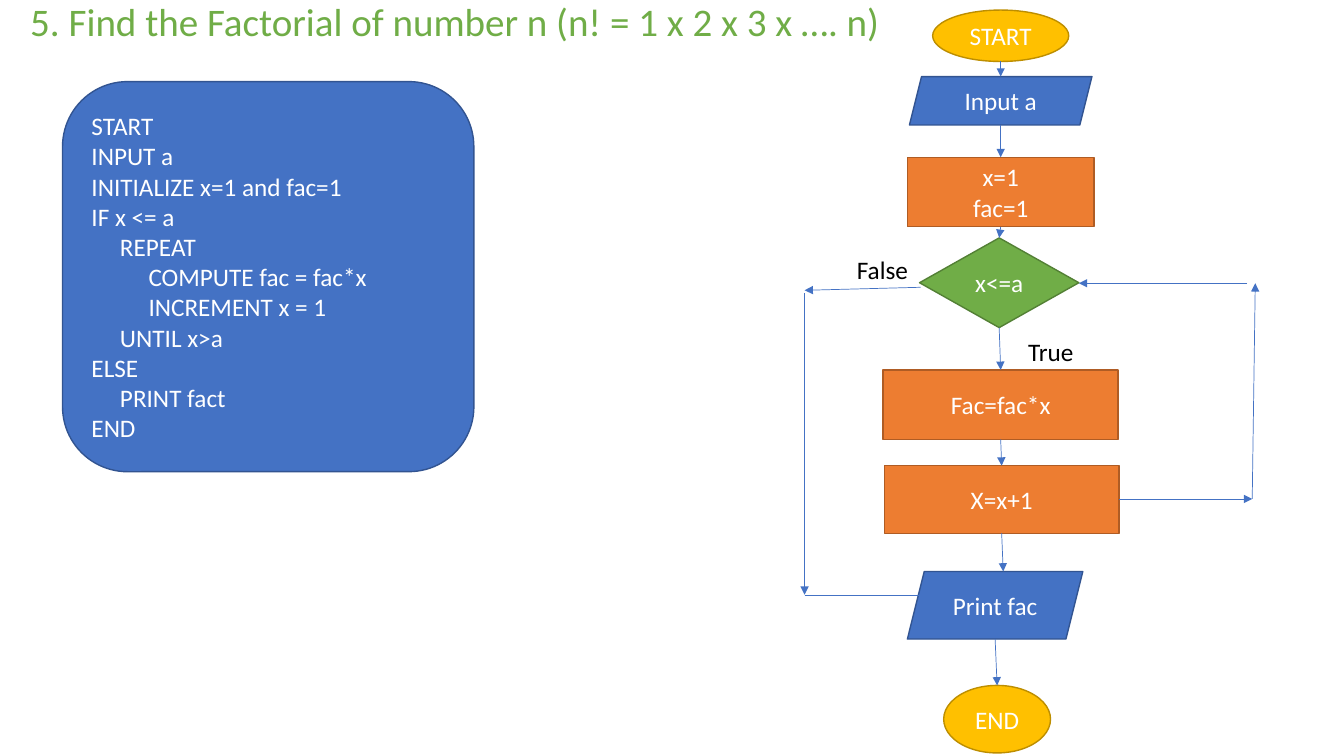
from itertools import pairwise
from lxml import etree
from pptx import Presentation
from pptx.dml.color import RGBColor
from pptx.enum.shapes import MSO_CONNECTOR, MSO_SHAPE
from pptx.enum.text import MSO_ANCHOR, MSO_AUTO_SIZE, PP_ALIGN
from pptx.oxml.ns import qn
from pptx.util import Inches, Pt

LEFT, CENTER = PP_ALIGN.LEFT, PP_ALIGN.CENTER
MIDDLE, TOP = MSO_ANCHOR.MIDDLE, MSO_ANCHOR.TOP
NO_FIT = MSO_AUTO_SIZE.NONE
STRAIGHT = MSO_CONNECTOR.STRAIGHT
OVAL, SLANTED, DIAMOND = MSO_SHAPE.OVAL, MSO_SHAPE.PARALLELOGRAM, MSO_SHAPE.DIAMOND
BOX, PROCESS = MSO_SHAPE.RECTANGLE, MSO_SHAPE.FLOWCHART_PROCESS
ROUNDED = MSO_SHAPE.ROUNDED_RECTANGLE

BLUE, GOLD, ORANGE, GREEN = "4472C4", "FFC000", "ED7D31", "70AD47"
EDGE = {BLUE: "325491", GOLD: "BD8E00", ORANGE: "AF5C24", GREEN: "538035"}
WHITE, BLACK = "FFFFFF", "000000"

prs = Presentation()
prs.slide_width, prs.slide_height = Inches(13.33), Inches(7.5)
U = prs.slide_height / 75  # one column or row of the slide grid
INDENT = 2.83 * U


def paint(color_format, color):
    """Set a fill, line or font colour from a hex string."""
    color_format.rgb = RGBColor.from_string(color)


def write(sp, lines, color, align=LEFT, anchor=MIDDLE, size=18):
    """Write (indent level, text) lines into a shape, one paragraph each."""
    tf = sp.text_frame
    tf.word_wrap, tf.auto_size, tf.vertical_anchor = True, NO_FIT, anchor
    for i, (level, text) in enumerate(lines):
        p = tf.add_paragraph() if i else tf.paragraphs[0]
        p.alignment = align
        if level:
            p._p.get_or_add_pPr().set("marL", str(round(level * INDENT)))
        r = p.add_run()
        r.text = text
        r.font.size, r.font.name = Pt(size), "Calibri"
        paint(r.font.color, color)


s = prs.slides.add_slide(prs.slide_layouts[5])

# Title
title = s.shapes.title
title.left, title.top, title.width, title.height = (round(v * U) for v in (2, 0, 125, 4.8))
write(title, [(0, "5. Find the Factorial of number n (n! = 1 x 2 x 3 x …. n)")], GREEN, size=27.9)
title.text_frame.paragraphs[0].line_spacing = 0.9

# Pseudocode panel and flowchart steps: preset, fill, left, top, width, height, lines
pseudocode = [
    (0, "START"), (0, "INPUT a"), (0, "INITIALIZE x=1 and fac=1"), (0, "IF x <= a"),
    (1, "REPEAT"), (2, "COMPUTE fac = fac*x"), (2, "INCREMENT x = 1"), (1, "UNTIL x>a"),
    (0, "ELSE"), (1, "PRINT fact"), (0, "END"),
]
panel = (ROUNDED, BLUE, 6.2, 8.1, 40.8, 38.7, pseudocode)
steps = [
    (OVAL, GOLD, 92.5, 1, 13.5, 5.1, [(0, "START")]),
    (SLANTED, BLUE, 90.2, 7.6, 18.1, 4.8, [(0, "Input a")]),
    (BOX, ORANGE, 90, 15.6, 18.5, 6.9, [(0, "x=1"), (0, "fac=1")]),
    (DIAMOND, GREEN, 91.2, 23.6, 15.8, 8.9, [(0, "x<=a")]),
    (BOX, ORANGE, 87.6, 36.7, 23.3, 6.9, [(0, "Fac=fac*x")]),
    (PROCESS, ORANGE, 87.7, 46.2, 23.3, 6.7, [(0, "X=x+1")]),
    (SLANTED, BLUE, 90, 56.7, 17.4, 6.7, [(0, "Print fac")]),
    (OVAL, GOLD, 93.6, 68, 10.6, 6.7, [(0, "END")]),
]
for preset, fill, x, y, w, h, lines in [panel, *steps]:
    sp = s.shapes.add_shape(preset, *(round(v * U) for v in (x, y, w, h)))
    sp.shadow.inherit = False
    sp.fill.solid()
    paint(sp.fill.fore_color, fill)
    paint(sp.line.color, EDGE[fill])
    sp.line.width = Pt(1)
    write(sp, lines, WHITE, LEFT if preset == ROUNDED else CENTER)

# Arrows run down from each step to the next, then around the two branches
arrows = []
for (_, _, x, y, w, h, _), (_, _, next_x, next_y, next_w, _, lines) in pairwise(steps):
    entry = 0.8 if lines[0][1] == "Print fac" else 0  # its slanted top sits to the right
    arrows.append((x + w / 2, y + h, next_x + next_w / 2 + entry, next_y))
arrows += [
    (91.3, 28.5, 79.8, 28.8), (79.8, 29.1, 79.8, 59), (79.8, 59.1, 92.5, 59.1),
    (111, 49.5, 124.2, 49.5), (124.2, 49.5, 124.5, 28.1), (123.7, 28.1, 107, 28.1),
]
for arrow in arrows:
    line = s.shapes.add_connector(STRAIGHT, *(round(v * U) for v in arrow))
    paint(line.line.color, BLUE)
    line.line.width = Pt(0.5)
    etree.SubElement(line.line._get_or_add_ln(), qn("a:tailEnd"), type="triangle")
    etree.SubElement(line._element.spPr, qn("a:effectLst"))

# Branch labels
for text, x, y in [("False", 84, 24.7), ("True", 101, 32.9)]:
    label = s.shapes.add_textbox(*(round(v * U) for v in (x, y, 9.7, 4)))
    write(label, [(0, text)], BLACK, anchor=TOP)

prs.save("out.pptx")
